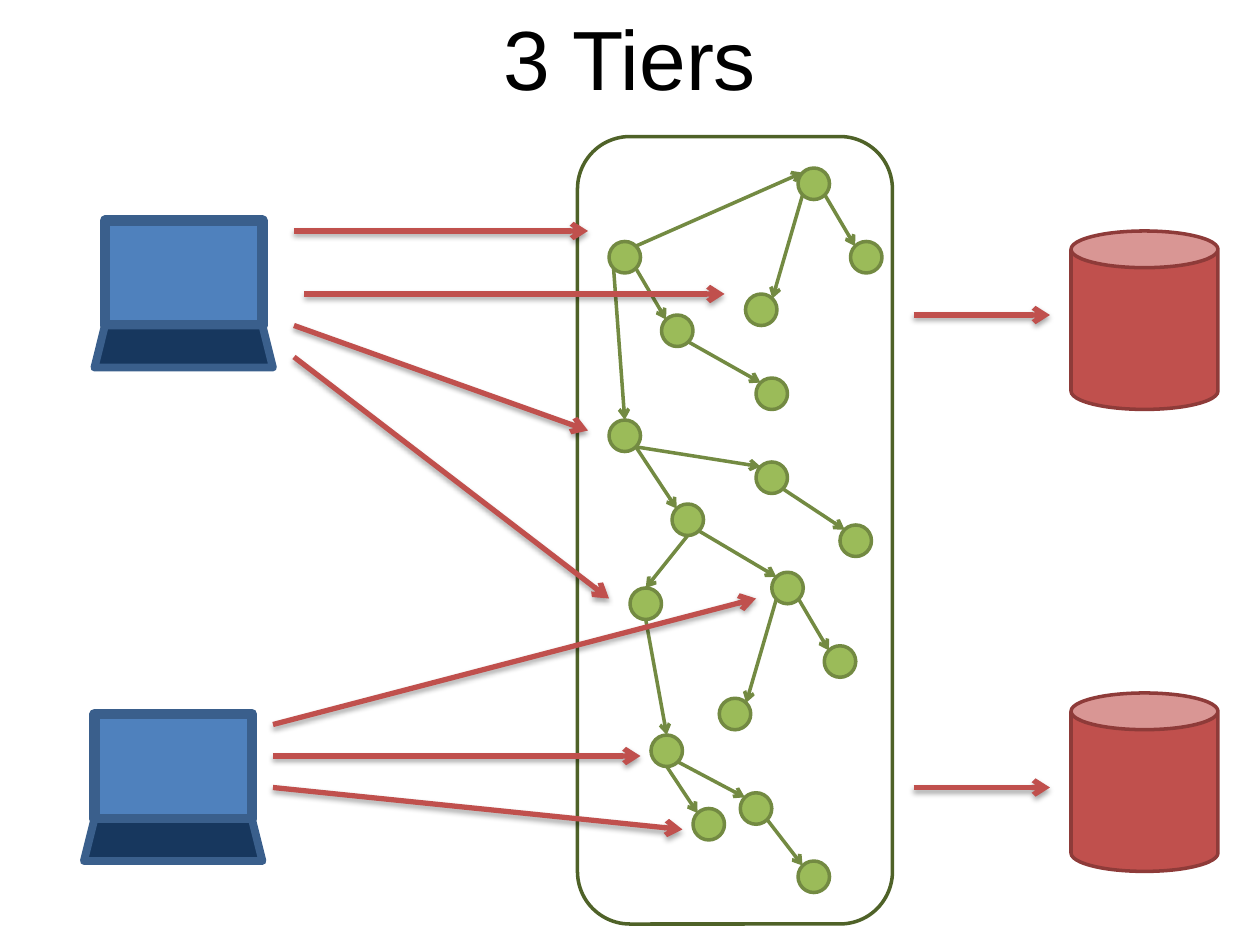
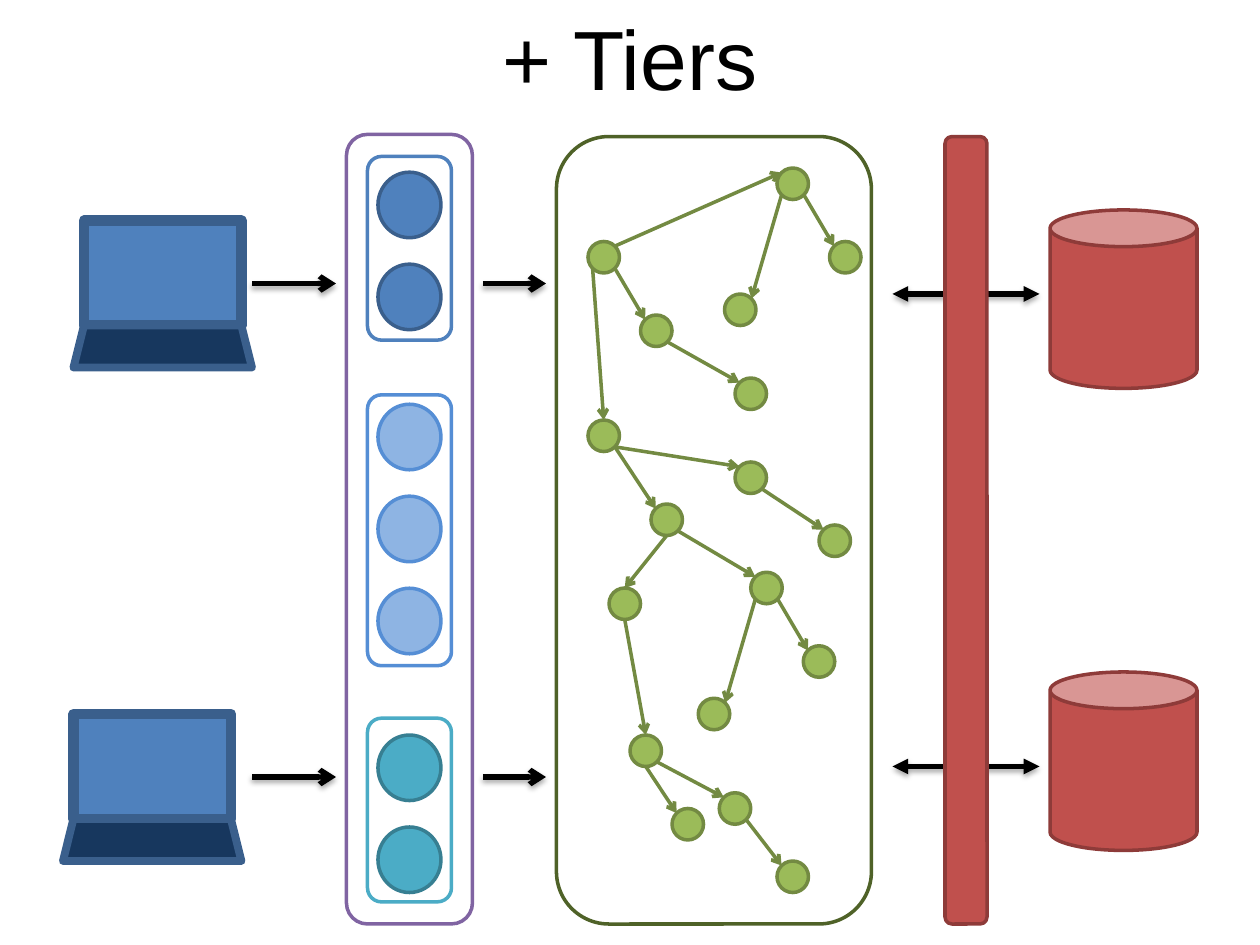
import math

import pptx
import pptx.dml.color
import pptx.enum.shapes
import pptx.enum.text
import pptx.oxml
import pptx.oxml.ns
import pptx.util

MSO = pptx.enum.shapes.MSO_SHAPE
UNIT = pptx.util.Inches(1) / 12  # the slide is a grid of 120 columns by 90 rows
COLS, ROWS = 120, 90


class Theme:
    font = "Arial"
    title_size = 48
    outline, flow, screen_edge, base_edge = 2, 3, 6, 4.5
    black, white = "000000", "FFFFFF"
    frame, node, node_edge = "4F6228", "9BBB59", "738A42"
    store, store_edge = "C0504D", "8E3B39"
    screen, keyboard, laptop_edge = "4F81BD", "17375E", "3A5F8C"
    queue_frame = "8064A2"
    light, light_edge = "8EB4E3", "558ED5"
    teal, teal_edge = "4BACC6", "377F92"


SHADOW = (
    '<a:effectLst %s><a:outerShdw blurRad="39370" dist="22860" dir="5400000" rotWithShape="0">'
    '<a:srgbClr val="000000"><a:alpha val="35000"/></a:srgbClr></a:outerShdw></a:effectLst>'
    % pptx.oxml.ns.nsdecls("a")
)
NO_SHADOW = "<a:effectLst %s/>" % pptx.oxml.ns.nsdecls("a")


def add_box(s, kind, col, row, cols, rows, fill, edge, width=Theme.outline):
    sp = s.shapes.add_shape(kind, *(round(v * UNIT) for v in (col, row, cols, rows)))
    sp.shadow.inherit = False
    sp.fill.solid()
    sp.fill.fore_color.rgb = pptx.dml.color.RGBColor.from_string(fill)
    sp.line.color.rgb = pptx.dml.color.RGBColor.from_string(edge)
    sp.line.width = pptx.util.Pt(width)


def add_arrow(s, start, end, color, width=Theme.flow, effect=SHADOW, heads=(("tailEnd", "arrow"),)):
    cx = s.shapes.add_connector(
        pptx.enum.shapes.MSO_CONNECTOR.STRAIGHT, *(round(v * UNIT) for v in (*start, *end)))
    cx.line.color.rgb = pptx.dml.color.RGBColor.from_string(color)
    cx.line.width = pptx.util.Pt(width)
    ln = cx.line._get_or_add_ln()
    for tag, kind in heads:
        ln.append(pptx.oxml.parse_xml(
            '<a:%s %s type="%s"/>' % (tag, pptx.oxml.ns.nsdecls("a"), kind)))
    cx._element.spPr.append(pptx.oxml.parse_xml(effect))


# Node corners, counted from the left of the graph frame and the top of the slide
NODE = 3
nodes = {
    "a": (3, 23), "b": (21, 16), "c": (26, 23), "d": (16, 28), "e": (8, 30), "f": (17, 36),
    "g": (3, 40), "h": (17, 44), "i": (25, 50), "j": (9, 48), "k": (5, 56), "l": (18.5, 54.5),
    "m": (23.5, 61.5), "n": (13.5, 66.5), "o": (7, 70), "p": (15.5, 75.5), "q": (11, 77),
    "r": (21, 82),
}
# Edges by the ports they leave and enter
edges = {
    ("SE", "NW"): ["ae", "bc", "ef", "gh", "gj", "hi", "jl", "lm", "op", "pr"],
    ("SW", "NE"): ["bd", "ln"],
    ("S", "N"): ["jk", "ko"],
    ("NE", "NW"): ["ab"],
    ("SW", "N"): ["ag"],
    ("S", "NW"): ["oq"],
}
radius = NODE / 2
diagonal = radius * math.sqrt(0.5)
ports = {
    "N": (radius, 0), "S": (radius, NODE),
    "NW": (radius - diagonal, radius - diagonal), "NE": (radius + diagonal, radius - diagonal),
    "SW": (radius - diagonal, radius + diagonal), "SE": (radius + diagonal, radius + diagonal),
}

prs = pptx.Presentation()
prs.slide_width, prs.slide_height = round(COLS * UNIT), round(ROWS * UNIT)

# What the slides share: title, graph, stores and laptops
slides = []
for title, graph_col, store_col, store_rows, laptops in (
    ("3 Tiers", 55, 102, (22, 66), ((10, 21), (9, 68))),
    ("+ Tiers", 53, 100, (20, 64), ((8, 21), (7, 68))),
):
    s = prs.slides.add_slide(prs.slide_layouts[5])
    slides.append(s)
    sp = s.shapes.title
    sp.left, sp.top, sp.width, sp.height = 0, 0, prs.slide_width, round(10.9 * UNIT)
    tf = sp.text_frame
    tf.word_wrap = True
    tf.auto_size = pptx.enum.text.MSO_AUTO_SIZE.SHAPE_TO_FIT_TEXT
    tf.vertical_anchor = pptx.enum.text.MSO_ANCHOR.MIDDLE
    p = tf.paragraphs[0]
    p.alignment = pptx.enum.text.PP_ALIGN.CENTER
    r = p.add_run()
    r.text = title
    r.font.name = Theme.font
    r.font.size = pptx.util.Pt(Theme.title_size)
    r.font.color.rgb = pptx.dml.color.RGBColor.from_string(Theme.black)

    add_box(s, MSO.ROUNDED_RECTANGLE, graph_col, 13, 30, 75, Theme.white, Theme.frame)
    for col, row in nodes.values():
        add_box(s, MSO.FLOWCHART_CONNECTOR, graph_col + col, row, NODE, NODE,
                Theme.node, Theme.node_edge)
    for edge_ports, pairs in edges.items():
        for pair in pairs:
            start, end = (
                (graph_col + nodes[name][0] + ports[port][0], nodes[name][1] + ports[port][1])
                for name, port in zip(pair, edge_ports))
            add_arrow(s, start, end, Theme.node_edge, Theme.outline, NO_SHADOW)

    for row in store_rows:
        add_box(s, MSO.CAN, store_col, row, 14, 17, Theme.store, Theme.store_edge)
    for col, row in laptops:
        add_box(s, MSO.RECTANGLE, col, row, 15, 10,
                Theme.screen, Theme.laptop_edge, Theme.screen_edge)
        add_box(s, MSO.TRAPEZOID, col - 1, row + 10, 17, 4,
                Theme.keyboard, Theme.laptop_edge, Theme.base_edge)

three_tiers, more_tiers = slides

# Direct calls from the laptops to single nodes, and on to the stores
for start, end in (
    ((28, 31), (56, 41)), ((28, 34), (58, 57)), ((26, 72), (61, 72)),
    ((29, 28), (69, 28)), ((28, 22), (56, 22)), ((26, 75), (65, 79)),
    ((26, 69), (72, 57)), ((87, 30), (100, 30)), ((87, 75), (100, 75)),
):
    add_arrow(three_tiers, start, end, Theme.store)

# Queue tier: groups of equally spaced circles
add_box(more_tiers, MSO.ROUNDED_RECTANGLE, 33, 12.8, 12, 75.2, Theme.white, Theme.queue_frame)
for top, height, first, count, fill, edge, group_edge in (
    (37.6, 25.8, 38.5, 3, Theme.light, Theme.light_edge, Theme.light_edge),
    (14.9, 17.5, 16.4, 2, Theme.screen, Theme.laptop_edge, Theme.screen),
    (68.4, 17.5, 70, 2, Theme.teal, Theme.teal_edge, Theme.teal),
):
    add_box(more_tiers, MSO.ROUNDED_RECTANGLE, 35, top, 8, height, Theme.white, group_edge)
    for n in range(count):
        add_box(more_tiers, MSO.FLOWCHART_CONNECTOR, 36, first + n * 8.76, 6, 6.24, fill, edge)

# Two-way traffic runs behind the bar in front of the stores
for row in (28, 73):
    add_arrow(more_tiers, (85, row), (99, row), Theme.black,
              heads=(("headEnd", "triangle"), ("tailEnd", "triangle")))
add_box(more_tiers, MSO.ROUNDED_RECTANGLE, 90, 13, 4, 75, Theme.store, Theme.store_edge)

for left, right in ((24, 32), (46, 52)):
    for row in (74, 27):
        add_arrow(more_tiers, (left, row), (right, row), Theme.black)

prs.save("out.pptx")
